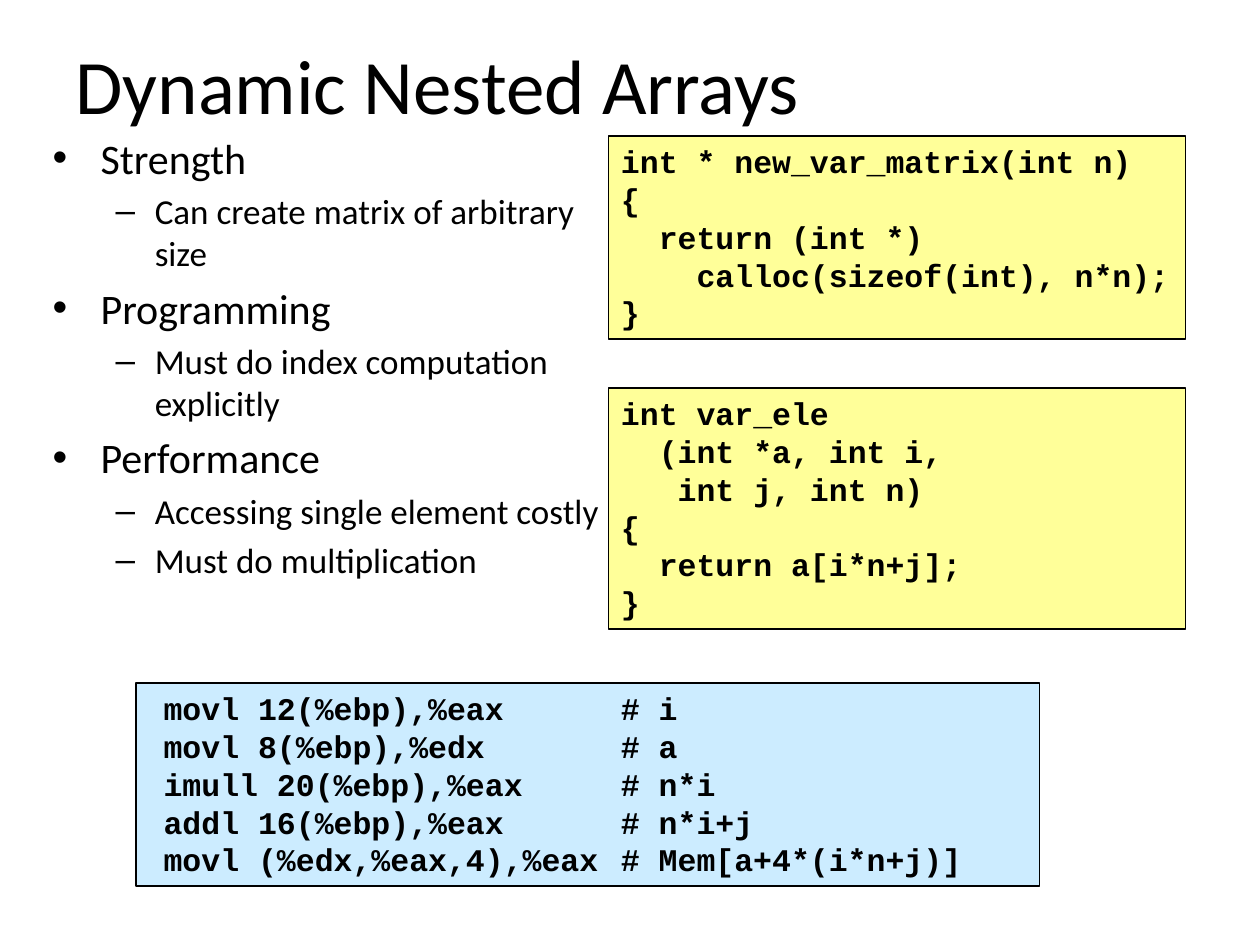
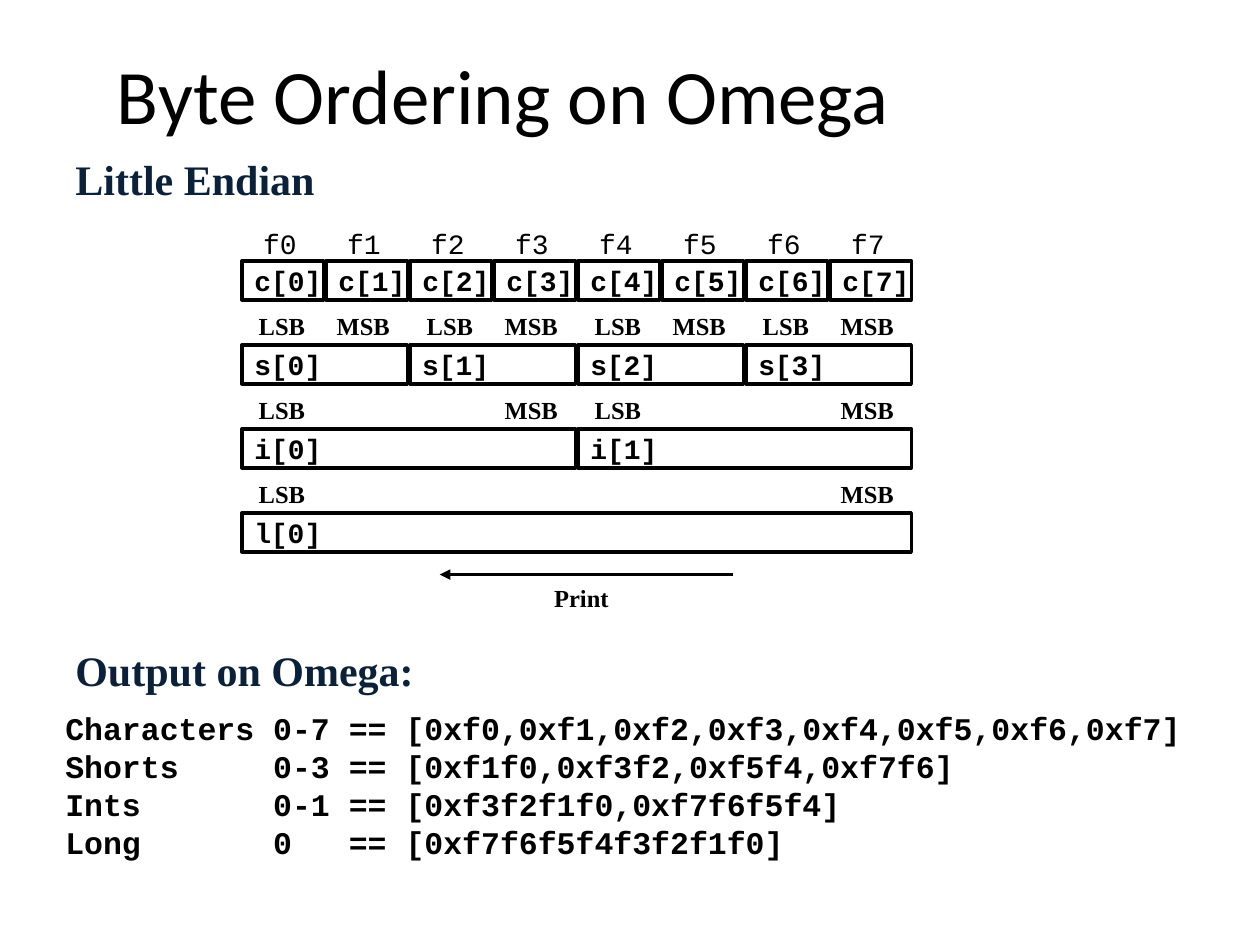
"""Build two slides on nested arrays and byte ordering."""
from lxml.etree import SubElement
from pptx import Presentation
from pptx.dml.color import RGBColor
from pptx.enum.shapes import MSO_CONNECTOR, MSO_SHAPE
from pptx.enum.text import MSO_ANCHOR, MSO_AUTO_SIZE, PP_ALIGN
from pptx.oxml.ns import qn
from pptx.util import Inches, Pt

BLACK, WHITE, NAVY = "000000", "FFFFFF", "09213B"
YELLOW, BLUE = "FFFF99", "CCECFF"
SANS, SERIF, MONO = "Calibri", "Times New Roman", "Courier New"


def paint(color, value):
    color.rgb = RGBColor.from_string(value)


def write(slide, area, lines, size, font, bold=True, ink=BLACK,
          fill=None, edge=1, wrap=True, grow=False, align=PP_ALIGN.LEFT):
    place = [Inches(n) for n in area]
    if fill:
        shape = slide.shapes.add_shape(MSO_SHAPE.RECTANGLE, *place)
        shape.shadow.inherit = False
        shape.fill.solid()
        paint(shape.fill.fore_color, fill)
        paint(shape.line.color, BLACK)
        shape.line.width = Pt(edge)
    else:
        shape = slide.shapes.add_textbox(*place)
    frame = shape.text_frame
    frame.word_wrap = wrap
    frame.auto_size = MSO_AUTO_SIZE.SHAPE_TO_FIT_TEXT if grow else MSO_AUTO_SIZE.NONE
    frame.vertical_anchor = MSO_ANCHOR.TOP
    for i, line in enumerate(lines):
        para = frame.add_paragraph() if i else frame.paragraphs[0]
        para.alignment = align
        run = para.add_run()
        run.text = line
        run.font.size = Pt(size)
        run.font.name = font
        run.font.bold = bold
        paint(run.font.color, ink)
    return frame


deck = Presentation()
deck.slide_width, deck.slide_height = Inches(10), Inches(7.5)
arrays, bytes_ = [deck.slides.add_slide(deck.slide_layouts[6]) for _ in range(2)]

for slide, area, title in [
    (arrays, (0.5, 0.25, 7.38, 0.63), "Dynamic Nested Arrays"),
    (bytes_, (0.83, 0.33, 7.08, 0.61), "Byte Ordering on Omega"),
]:
    write(slide, area, [title], 44, SANS, bold=False)

points = [
    (0, "Strength"),
    (1, "Can create matrix of arbitrary size"),
    (0, "Programming"),
    (1, "Must do index computation explicitly"),
    (0, "Performance"),
    (1, "Accessing single element costly"),
    (1, "Must do multiplication"),
]
levels = [(24, 0.38, 0.38, "•"), (20, 0.81, 0.31, "–")]
body = write(arrays, (0.32, 1, 4.68, 4.08), [text for _, text in points],
             24, SANS, bold=False)
for i, (para, (level, _)) in enumerate(zip(body.paragraphs, points)):
    size, left, hang, mark = levels[level]
    para.level = level
    para.runs[0].font.size = Pt(size)
    props = para._p.get_or_add_pPr()
    props.set("marL", str(Inches(left)))
    props.set("indent", str(-Inches(hang)))
    SubElement(props, qn("a:buFont")).set("typeface", "Arial")
    SubElement(props, qn("a:buChar")).set("char", mark)
    if i:
        para.space_before = Pt(size * 0.2)

maker = [
    "int * new_var_matrix(int n)",
    "{",
    "  return (int *)",
    "    calloc(sizeof(int), n*n);",
    "}",
]
getter = [
    "int var_ele",
    "  (int *a, int i,",
    "   int j, int n)",
    "{",
    "  return a[i*n+j];",
    "}",
]
for top, high, code in [(1.08, 1.61, maker), (3.08, 1.91, getter)]:
    write(arrays, (4.83, top, 4.58, high), code, 18, MONO, fill=YELLOW, grow=True)

steps = [
    ("movl 12(%ebp),%eax", "# i"),
    ("movl 8(%ebp),%edx", "# a"),
    ("imull 20(%ebp),%eax", "# n*i"),
    ("addl 16(%ebp),%eax", "# n*i+j"),
    ("movl (%edx,%eax,4),%eax", "# Mem[a+4*(i*n+j)]"),
]
asm = write(arrays, (1.08, 5.42, 7.17, 1.61), [f"\t{op}\t{note}" for op, note in steps],
            18, MONO, fill=BLUE, grow=True)
for para in asm.paragraphs:
    tabs = SubElement(para._p.get_or_add_pPr(), qn("a:tabLst"))
    for stop in (0.12, 3.75):
        tab = SubElement(tabs, qn("a:tab"))
        tab.set("pos", str(Inches(stop)))
        tab.set("algn", "l")

for area, head in [
    ((0.5, 1.17, 2.85, 0.45), "Little Endian"),
    ((0.5, 5.07, 4, 0.34), "Output on Omega:"),
]:
    write(bytes_, area, [head], 24, SERIF, ink=NAVY)

output = [
    "Characters 0-7 == [0xf0,0xf1,0xf2,0xf3,0xf4,0xf5,0xf6,0xf7]",
    "Shorts     0-3 == [0xf1f0,0xf3f2,0xf5f4,0xf7f6]",
    "Ints       0-1 == [0xf3f2f1f0,0xf7f6f5f4]",
    "Long       0   == [0xf7f6f5f4f3f2f1f0]",
]
write(bytes_, (0.42, 5.58, 9.14, 1.31), output, 18, MONO, wrap=False, grow=True)

left, top, pitch = 1.92, 2.07, 2 / 3
for i in range(8):
    write(bytes_, (left + i * pitch + 0.07, 1.75, 0.5, 0.36), [f"f{i}"],
          16, MONO, bold=False, grow=True)
for row, name in enumerate("csil"):
    span = 2 ** row
    wide = span * pitch
    y = top + row * pitch
    for i in range(8 // span):
        x = left + i * wide
        cell = write(bytes_, (x, y, wide - 0.02, 0.31), [f"{name}[{i}]"],
                     16, MONO, fill=WHITE, edge=2, wrap=False)
        cell.vertical_anchor = MSO_ANCHOR.MIDDLE
        if row:
            for at, w, tag in [(x + 0.01, 0.59, "LSB"), (x + wide - 0.69, 0.63, "MSB")]:
                write(bytes_, (at, y - 0.32, w, 0.33), [tag], 14, SERIF,
                      wrap=False, grow=True, align=PP_ALIGN.RIGHT)

arrow = bytes_.shapes.add_connector(
    MSO_CONNECTOR.STRAIGHT, Inches(5.82), Inches(4.56), Inches(3.49), Inches(4.56))
paint(arrow.line.color, BLACK)
arrow.line.width = Pt(2)
SubElement(arrow.line._get_or_add_ln(), qn("a:tailEnd")).set("type", "triangle")
SubElement(arrow._element.spPr, qn("a:effectLst"))
write(bytes_, (4.3, 4.58, 0.64, 0.33), ["Print"], 14, SERIF, wrap=False, grow=True)

deck.save("out.pptx")
